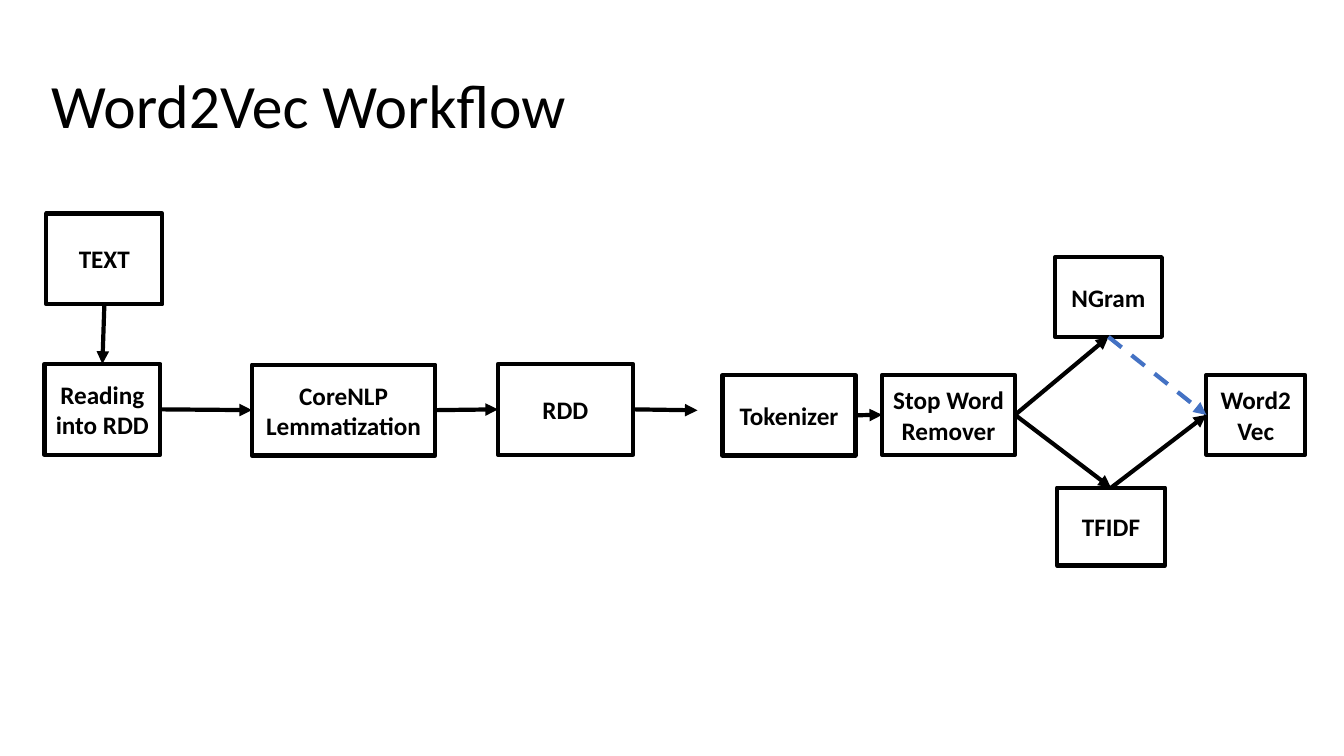
from lxml import etree
from pptx import Presentation
from pptx import util as u
from pptx.dml import color
from pptx.enum import dml, shapes, text
from pptx.oxml import ns

HUES = {"ink": "000000", "blue": "4472C4"}
HEAD = {"size": u.Pt(44), "name": "Calibri", "bold": False}
BODY = {"size": u.Pt(18), "name": "Calibri", "bold": True}
TOP, LEFT, BASE, RIGHT = range(4)  # connection sites of a rectangle


def write(item, words, look, align):
    frame = item.text_frame
    frame.word_wrap = True
    frame.vertical_anchor = text.MSO_ANCHOR.MIDDLE
    para = frame.paragraphs[0]
    para.text = words
    para.alignment = align
    for key, value in look.items():
        setattr(para.font, key, value)
    para.font.color.rgb = color.RGBColor.from_string(HUES["ink"])
    return para


def stroke(item, hue):
    item.line.color.rgb = color.RGBColor.from_string(HUES[hue])
    item.line.width = u.Pt(3)


deck = Presentation()
deck.slide_width, deck.slide_height = u.Cm(33.87), u.Cm(19.05)
slide = deck.slides.add_slide(deck.slide_layouts[6])

# Title
title = slide.shapes.add_textbox(u.Cm(1.04), u.Cm(0.81), u.Cm(29.36), u.Cm(3.84))
write(title, "Word2Vec Workflow", HEAD, text.PP_ALIGN.LEFT).line_spacing = 0.9

# Steps: words, left, top, width, height
steps = {
    "text": ("TEXT", 1.17, 5.38, 2.92, 2.29),
    "read": ("Reading into RDD", 1.12, 9.17, 2.92, 2.29),
    "lemma": ("CoreNLP Lemmatization", 6.35, 9.19, 4.62, 2.29),
    "rdd": ("RDD", 12.55, 9.17, 3.4, 2.29),
    "token": ("Tokenizer", 18.21, 9.45, 3.35, 2.03),
    "stop": ("Stop Word Remover", 22.23, 9.45, 3.35, 2.01),
    "ngram": ("NGram", 26.59, 6.48, 2.69, 2.01),
    "vec": ("Word2Vec", 30.4, 9.45, 2.49, 2.01),
    "tfidf": ("TFIDF", 26.64, 12.29, 2.72, 1.96),
}
boxes = {}
for name, (words, *place) in steps.items():
    box = slide.shapes.add_shape(shapes.MSO_SHAPE.RECTANGLE, *map(u.Cm, place))
    box.shadow.inherit = False
    box.fill.background()
    stroke(box, "ink")
    write(box, words, BODY, text.PP_ALIGN.CENTER)
    boxes[name] = box

# Arrows: start box and site, end box and site, colour
links = [
    ("text", BASE, "read", TOP, "ink"),
    ("read", RIGHT, "lemma", LEFT, "ink"),
    ("lemma", RIGHT, "rdd", LEFT, "ink"),
    ("rdd", RIGHT, None, None, "ink"),
    ("token", RIGHT, "stop", LEFT, "ink"),
    ("stop", RIGHT, "ngram", BASE, "ink"),
    ("stop", RIGHT, "tfidf", TOP, "ink"),
    ("tfidf", TOP, "vec", LEFT, "ink"),
    ("ngram", BASE, "vec", LEFT, "blue"),
]
free = u.Cm(17.58), u.Cm(10.34)  # open end of the arrow after RDD
for start, out, end, into, hue in links:
    link = slide.shapes.add_connector(shapes.MSO_CONNECTOR.STRAIGHT, *free, *free)
    link.begin_connect(boxes[start], out)
    if end:
        link.end_connect(boxes[end], into)
    stroke(link, hue)
    if hue == "blue":
        link.line.dash_style = dml.MSO_LINE.DASH
    etree.SubElement(link.line._get_or_add_ln(), ns.qn("a:tailEnd"), type="triangle")
    etree.SubElement(link._element.spPr, ns.qn("a:effectLst"))

deck.save("out.pptx")
